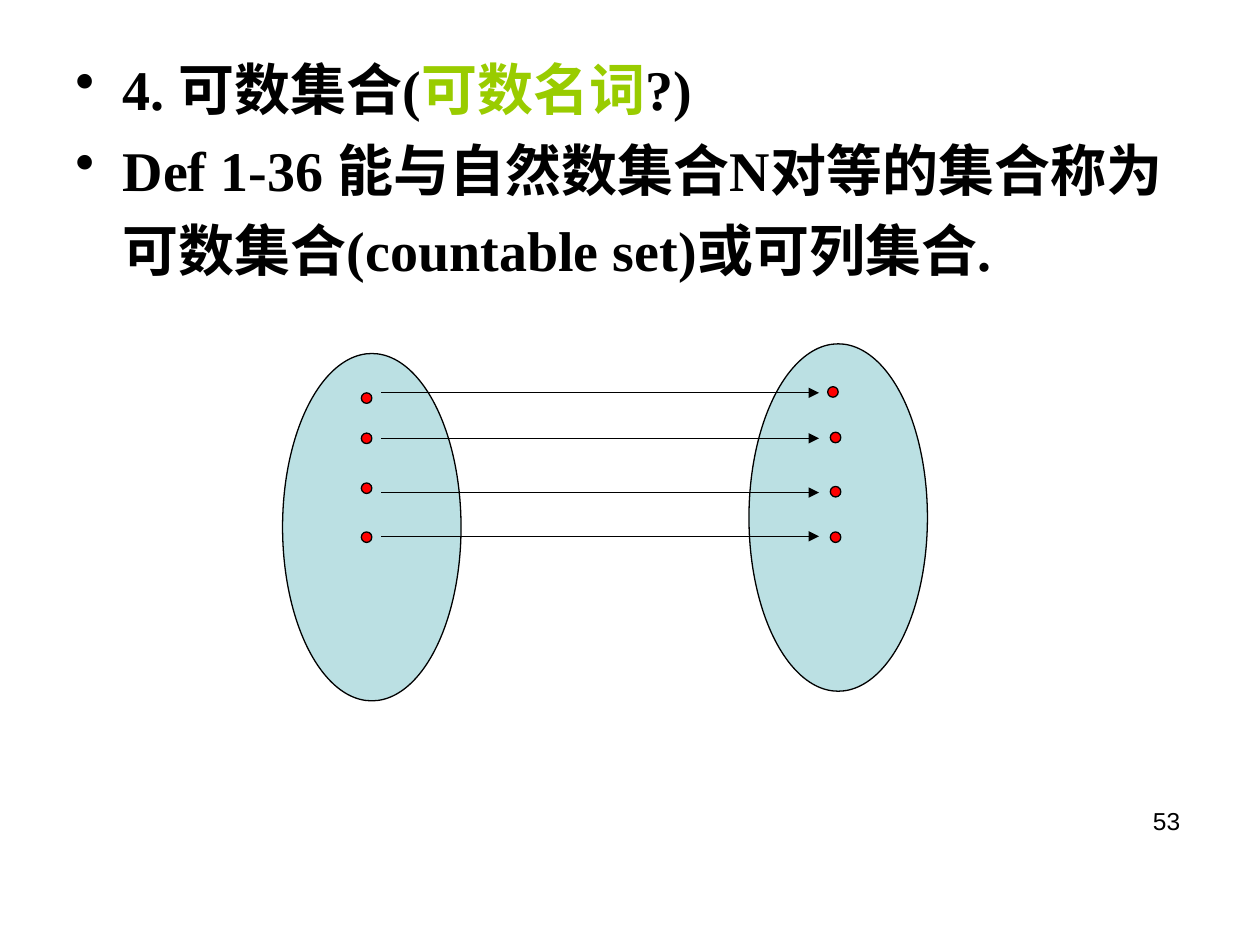
import pptx
import pptx.dml.color
import pptx.enum.shapes
import pptx.enum.text
import pptx.oxml.ns
import pptx.util
from lxml import etree

Pt = pptx.util.Pt
qn = pptx.oxml.ns.qn


def color(hex_string):
    return pptx.dml.color.RGBColor.from_string(hex_string)


class SlideBuilder:
    black = "000000"
    green = "99CC00"
    set_fill = "BBE0E3"
    dot_fill = "FF0000"
    line_width = 0.75
    indent = 27

    def __init__(self, slide):
        self.slide = slide

    def ellipse(self, left, top, width, height, fill):
        shape = self.slide.shapes.add_shape(
            pptx.enum.shapes.MSO_SHAPE.OVAL, Pt(left), Pt(top), Pt(width), Pt(height))
        shape.shadow.inherit = False
        shape.fill.solid()
        shape.fill.fore_color.rgb = color(fill)
        shape.line.color.rgb = color(self.black)
        shape.line.width = Pt(self.line_width)

    def arrow(self, start, end, y):
        connector = self.slide.shapes.add_connector(
            pptx.enum.shapes.MSO_CONNECTOR.STRAIGHT, Pt(start), Pt(y), Pt(end), Pt(y))
        connector.line.color.rgb = color(self.black)
        connector.line.width = Pt(self.line_width)
        etree.SubElement(connector.line._get_or_add_ln(), qn("a:tailEnd"), type="triangle")
        etree.SubElement(connector._element.spPr, qn("a:effectLst"))

    def text_frame(self, left, top, width, height):
        box = self.slide.shapes.add_textbox(Pt(left), Pt(top), Pt(width), Pt(height))
        box.text_frame.word_wrap = True
        return box.text_frame

    def run(self, paragraph, text, font, size, fill, bold=False):
        run = paragraph.add_run()
        run.text = text
        run.font.name = font
        run.font.size = Pt(size)
        run.font.bold = bold
        run.font.color.rgb = color(fill)

    def bullets(self, left, top, width, height, items):
        """Add one bulleted paragraph per item, each a list of (text, colour) runs."""
        frame = self.text_frame(left, top, width, height)
        for index, item in enumerate(items):
            paragraph = frame.paragraphs[0] if index == 0 else frame.add_paragraph()
            paragraph.line_spacing = 1.2
            properties = paragraph._p.get_or_add_pPr()
            properties.set("marL", str(Pt(self.indent)))
            properties.set("indent", str(-Pt(self.indent)))
            etree.SubElement(properties, qn("a:buChar"), char="•")
            for text, fill in item:
                self.run(paragraph, text, "Times New Roman", 32, fill, bold=True)

    def page_number(self, left, top, width, height, text):
        paragraph = self.text_frame(left, top, width, height).paragraphs[0]
        paragraph.alignment = pptx.enum.text.PP_ALIGN.RIGHT
        self.run(paragraph, text, "Arial", 14, self.black)


def main():
    presentation = pptx.Presentation()
    presentation.slide_width = Pt(720)
    presentation.slide_height = Pt(540)
    builder = SlideBuilder(presentation.slides.add_slide(presentation.slide_layouts[6]))

    builder.bullets(36, 20, 648, 461.5, [
        [("4. 可数集合(", builder.black), ("可数名词", builder.green), ("?)", builder.black)],
        [("Def 1-36 能与自然数集合N对等的集合称为可数集合(countable set)或可列集合.",
          builder.black)],
    ])

    for left, top in ((161.5, 202), (428, 196.5)):
        builder.ellipse(left, top, 102, 198.5, builder.set_fill)

    left_dots = [(206.5, top) for top in (224.5, 247.5, 276, 304)]
    right_dots = [(473, 221), (474.5, 247), (474.5, 278), (474.5, 304)]
    for left, top in left_dots + right_dots:
        builder.ellipse(left, top, 6, 6, builder.dot_fill)

    for y in (224.5, 250.5, 281.5, 306.5):
        builder.arrow(218, 468, y)

    builder.page_number(513.5, 457, 168, 37.5, "53")
    presentation.save("out.pptx")


if __name__ == "__main__":
    main()
